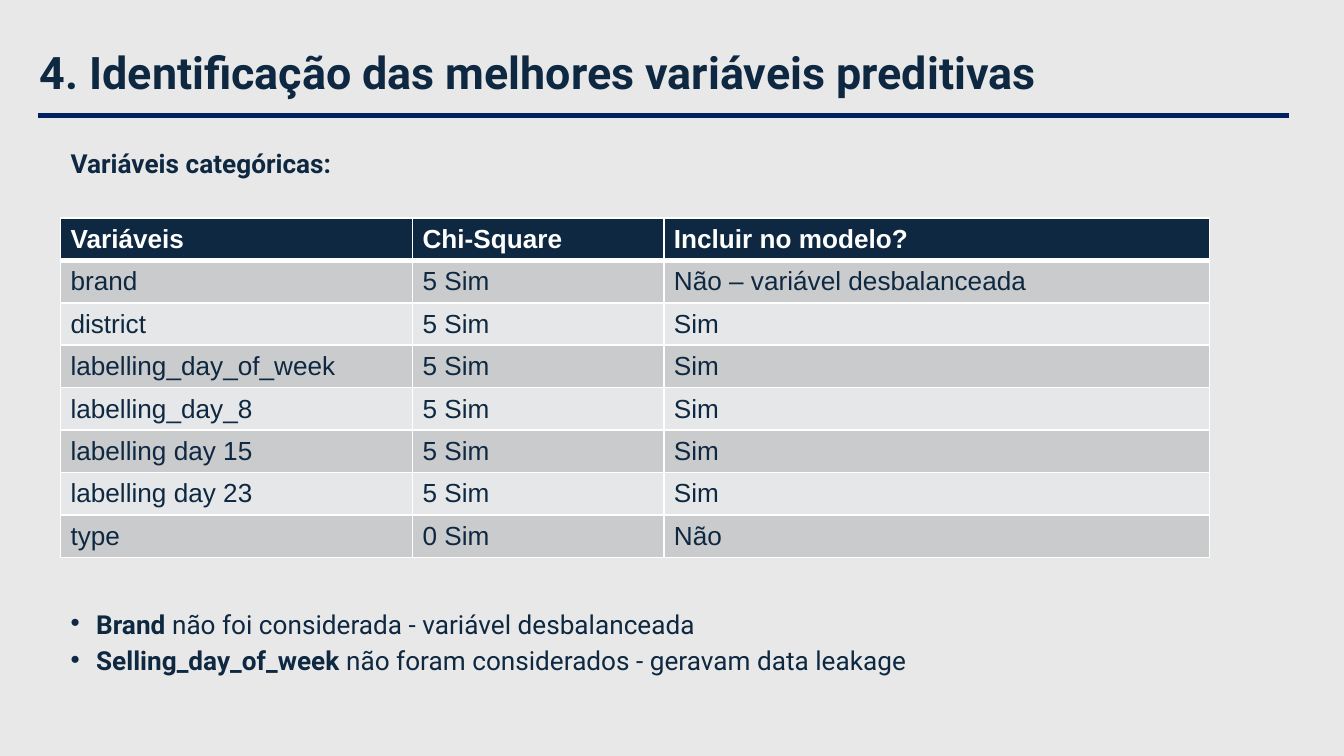
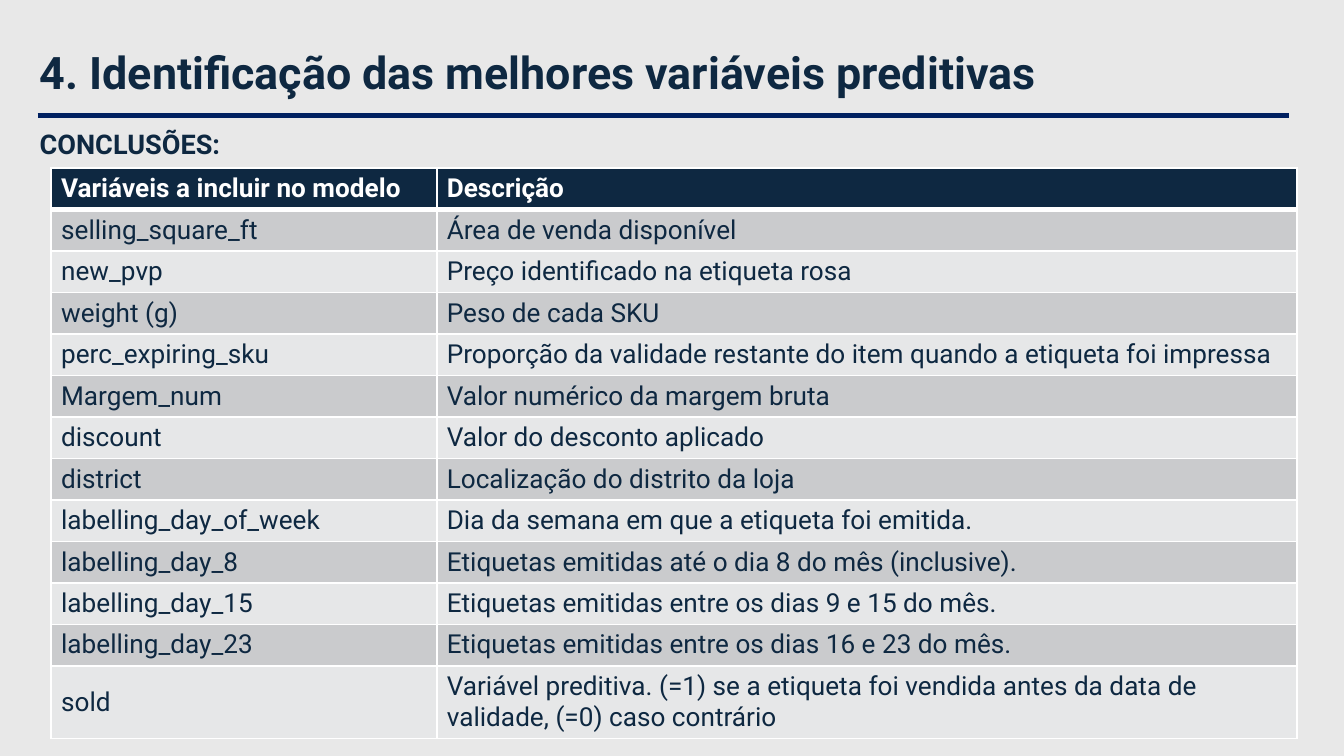
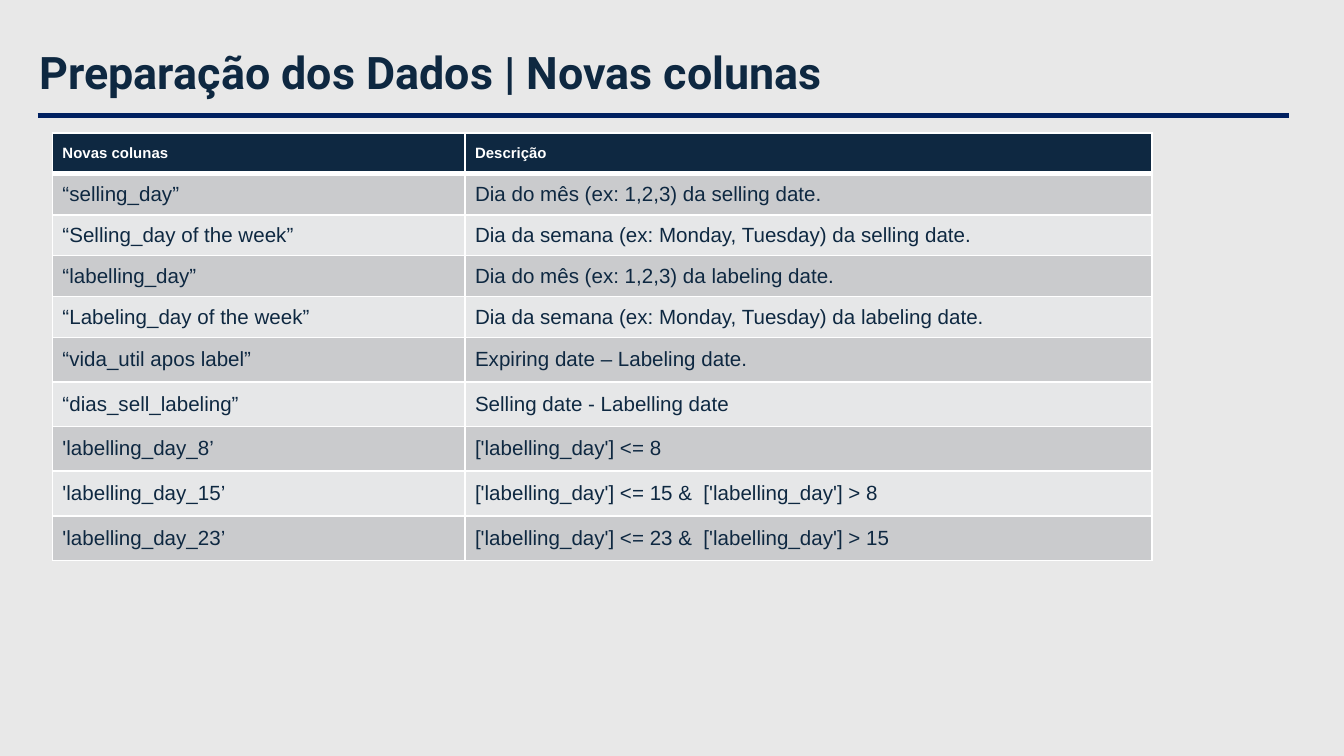
from pptx import Presentation
from pptx.dml.color import RGBColor
from pptx.enum.shapes import MSO_CONNECTOR
from pptx.enum.text import MSO_ANCHOR
from pptx.oxml.ns import qn
from pptx.util import Inches, Pt
from lxml.etree import SubElement

COLORS = {"bg": "E8E8E8", "navy": "0E2841", "rule": "002060", "white": "FFFFFF",
          "odd": "CACBCD", "even": "E6E7E8"}
MARGIN_X, MARGIN_Y = Pt(5.4), Pt(2.7)

PREDICTIVE_TITLE = "4. Identificação das melhores variáveis preditivas"

CATEGORICAL = [
    ("Variáveis", "Chi-Square", "Incluir no modelo?"),
    ("brand", "5 Sim", "Não – variável desbalanceada"),
    ("district", "5 Sim", "Sim"),
    ("labelling_day_of_week", "5 Sim", "Sim"),
    ("labelling_day_8", "5 Sim", "Sim"),
    ("labelling day 15", "5 Sim", "Sim"),
    ("labelling day 23", "5 Sim", "Sim"),
    ("type", "0 Sim", "Não"),
]

EXCLUDED = [
    ("Brand", " não foi considerada - variável desbalanceada"),
    ("Selling_day_of_week ", "não foram considerados - geravam data leakage"),
]

MODEL_VARIABLES = [
    ("Variáveis a incluir no modelo", "Descrição"),
    ("selling_square_ft", "Área de venda disponível"),
    ("new_pvp", "Preço identificado na etiqueta rosa"),
    ("weight (g)", "Peso de cada SKU"),
    ("perc_expiring_sku", "Proporção da validade restante do item quando a etiqueta foi impressa"),
    ("Margem_num", "Valor numérico da margem bruta"),
    ("discount", "Valor do desconto aplicado"),
    ("district", "Localização do distrito da loja"),
    ("labelling_day_of_week", "Dia da semana em que a etiqueta foi emitida."),
    ("labelling_day_8", "Etiquetas emitidas até o dia 8 do mês (inclusive)."),
    ("labelling_day_15", "Etiquetas emitidas entre os dias 9 e 15 do mês."),
    ("labelling_day_23", "Etiquetas emitidas entre os dias 16 e 23 do mês."),
    ("sold", "Variável preditiva. (=1) se a etiqueta foi vendida antes da data de validade, "
             "(=0) caso contrário"),
]

NEW_COLUMNS = [
    ("Novas colunas", "Descrição"),
    ("“selling_day”", "Dia do mês (ex: 1,2,3) da selling date."),
    ("“Selling_day of the week”", "Dia da semana (ex: Monday, Tuesday) da selling date."),
    ("“labelling_day”", "Dia do mês (ex: 1,2,3) da labeling date."),
    ("“Labeling_day of the week”", "Dia da semana (ex: Monday, Tuesday) da labeling date."),
    ("“vida_util apos label”", "Expiring date – Labeling date."),
    ("“dias_sell_labeling”", "Selling date - Labelling date"),
    ("'labelling_day_8’", "['labelling_day'] <= 8"),
    ("'labelling_day_15’", "['labelling_day'] <= 15 &  ['labelling_day'] > 8"),
    ("'labelling_day_23’", "['labelling_day'] <= 23 &  ['labelling_day'] > 15"),
]


def rgb(name):
    return RGBColor.from_string(COLORS[name])


def set_margins(holder):
    holder.margin_left = holder.margin_right = MARGIN_X
    holder.margin_top = holder.margin_bottom = MARGIN_Y


def add_run(p, text, size, bold=False, font="Roboto", color="navy"):
    r = p.add_run()
    r.text = text
    r.font.size = Pt(size)
    r.font.bold = bold
    r.font.name = font
    r.font.color.rgb = rgb(color)


def add_box(s, x, y, w, h, anchor=MSO_ANCHOR.TOP):
    tf = s.shapes.add_textbox(Inches(x), Inches(y), Inches(w), Inches(h)).text_frame
    tf.word_wrap = True
    tf.vertical_anchor = anchor
    set_margins(tf)
    return tf


def add_label(s, text, size, x, y, w, h, spacing, anchor=MSO_ANCHOR.TOP):
    p = add_box(s, x, y, w, h, anchor).paragraphs[0]
    p.line_spacing = spacing
    add_run(p, text, size, bold=True)


def add_bullets(s, items, x, y, w, h):
    tf = add_box(s, x, y, w, h)
    for i, (lead, rest) in enumerate(items):
        p = tf.add_paragraph() if i else tf.paragraphs[0]
        p.line_spacing = 0.7
        p.space_before = Pt(8 if i else 0)
        pPr = p._p.get_or_add_pPr()
        pPr.set("marL", str(Inches(0.19)))
        pPr.set("indent", str(-Inches(0.19)))
        clr = SubElement(pPr, qn("a:buClr"))
        SubElement(clr, qn("a:srgbClr"), val=COLORS["navy"])
        SubElement(pPr, qn("a:buFont"), typeface="Arial")
        SubElement(pPr, qn("a:buChar"), char="•")
        add_run(p, lead, 14, bold=True)
        add_run(p, rest, 14)


def set_borders(cell, top, bottom):
    tcPr = cell._tc.get_or_add_tcPr()
    for i, (side, width) in enumerate([("L", 1), ("R", 1), ("T", top), ("B", bottom)]):
        ln = tcPr.makeelement(qn(f"a:ln{side}"), {"w": str(Pt(width))})
        fill = SubElement(ln, qn("a:solidFill"))
        SubElement(fill, qn("a:srgbClr"), val=COLORS["white"])
        tcPr.insert(i, ln)


def add_grid(s, rows, x, y, widths, heights, font, head_size, body_size):
    table = s.shapes.add_table(len(rows), len(widths), Inches(x), Inches(y),
                               Inches(sum(widths)), Inches(sum(heights))).table
    for col, w in zip(table.columns, widths):
        col.width = Inches(w)
    for i, (row, h) in enumerate(zip(rows, heights)):
        table.rows[i].height = Inches(h)
        head = i == 0
        fill = "navy" if head else "odd" if i % 2 else "even"
        for j, text in enumerate(row):
            cell = table.cell(i, j)
            cell.fill.solid()
            cell.fill.fore_color.rgb = rgb(fill)
            cell.vertical_anchor = MSO_ANCHOR.MIDDLE
            set_margins(cell)
            set_borders(cell, 3 if i == 1 else 1, 3 if head else 1)
            add_run(cell.text_frame.paragraphs[0], text, head_size if head else body_size,
                    head, font, "white" if head else "navy")


def add_slide(prs, title):
    s = prs.slides.add_slide(prs.slide_layouts[6])
    s.background.fill.solid()
    s.background.fill.fore_color.rgb = rgb("bg")
    add_label(s, title, 24, 0.22, 0.25, 9.09, 0.61, 0.9, MSO_ANCHOR.MIDDLE)
    rule = s.shapes.add_connector(MSO_CONNECTOR.STRAIGHT, Inches(0.28), Inches(0.86),
                                  Inches(9.59), Inches(0.86))
    rule.line.color.rgb = rgb("rule")
    rule.line.width = Pt(2.25)
    SubElement(rule._element.spPr, qn("a:effectLst"))
    return s


def main():
    prs = Presentation()
    prs.slide_width = Inches(10)
    prs.slide_height = prs.slide_width * 9 // 16

    s = add_slide(prs, PREDICTIVE_TITLE)
    add_label(s, "Variáveis categóricas:", 14, 0.45, 1.12, 8.62, 0.3, 0.7)
    add_grid(s, CATEGORICAL, 0.45, 1.62, [2.62, 1.87, 4.06], [2.53 / 8] * 8, "Arial", 14, 14)
    add_bullets(s, EXCLUDED, 0.45, 4.55, 8.62, 0.82)

    s = add_slide(prs, PREDICTIVE_TITLE)
    add_label(s, "CONCLUSÕES:", 14.5, 0.22, 0.94, 8.62, 0.31, 0.9)
    add_grid(s, MODEL_VARIABLES, 0.38, 1.25, [2.87, 6.4], [0.3] * 12 + [0.53], "Roboto", 14, 14)

    s = add_slide(prs, "Preparação dos Dados | Novas colunas")
    add_grid(s, NEW_COLUMNS, 0.39, 0.99, [3.07, 5.11], [1.52 / 5] * 5 + [1.66 / 5] * 5,
             "Arial", 8, 11)

    prs.save("out.pptx")


if __name__ == "__main__":
    main()
